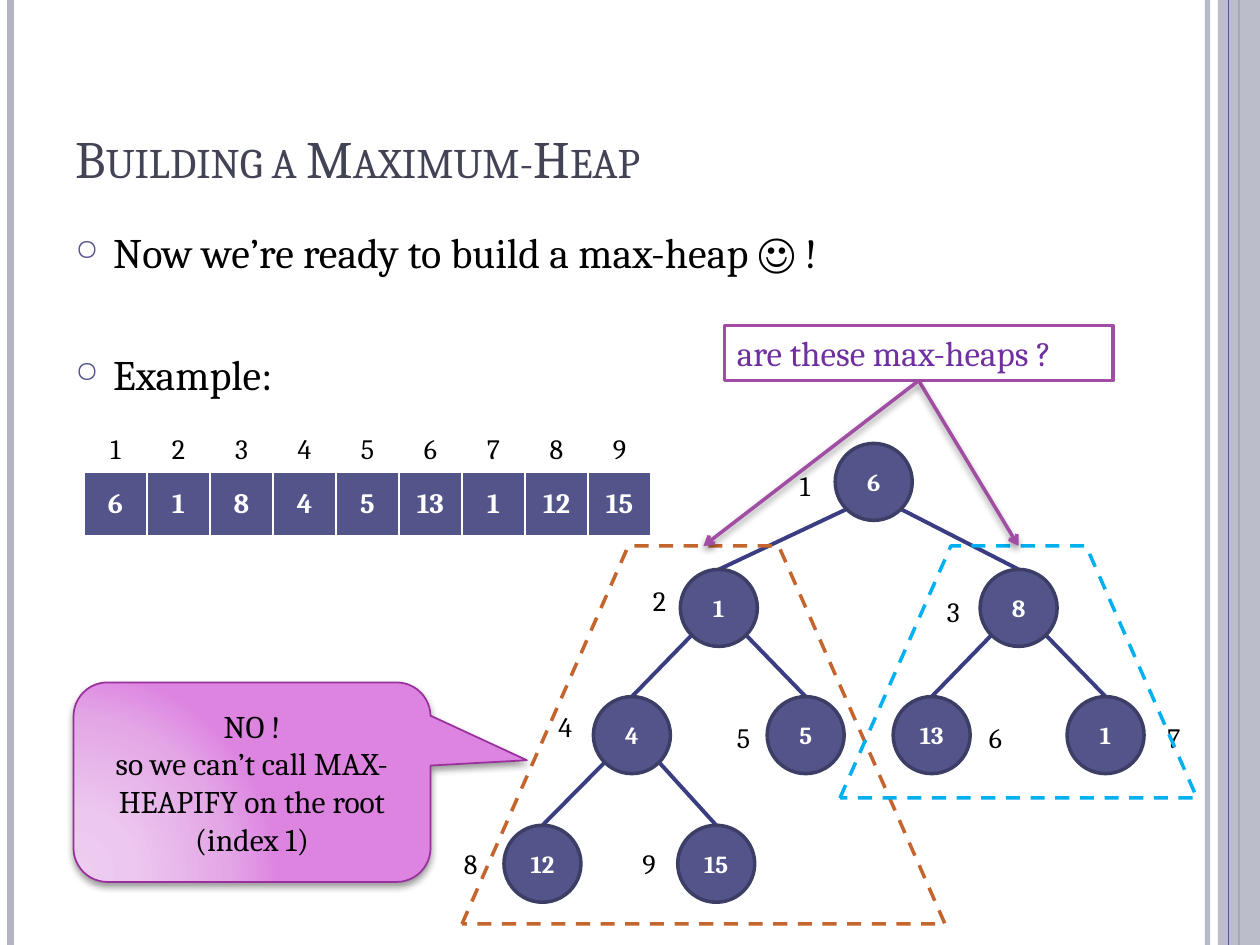
import dataclasses
import math

import pptx
import pptx.dml.color
import pptx.enum.dml
import pptx.enum.shapes
import pptx.enum.text
import pptx.oxml
import pptx.oxml.ns
import pptx.util

Pt = pptx.util.Pt
SHAPES = pptx.enum.shapes.MSO_SHAPE
ALIGN = pptx.enum.text.PP_ALIGN
ANCHOR = pptx.enum.text.MSO_ANCHOR
DASH = pptx.enum.dml.MSO_LINE.DASH
NAMESPACE = pptx.oxml.ns.nsdecls("a")


@dataclasses.dataclass(frozen=True)
class Theme:
    font: str = "Cambria"
    black: str = "000000"
    white: str = "FFFFFF"
    title: str = "424456"
    stripe: str = "B3B4C4"
    indigo: str = "53548A"
    node_outline: str = "3D3E66"
    edge: str = "3B3D82"
    left_heap: str = "C4652D"
    right_heap: str = "00B0F0"
    question: str = "7030A0"
    purple: str = "A04DA3"
    callout_outline: str = "9A309E"
    gradient: tuple = ((0, "EDCCEF"), (30, "ECC7EE"), (75, "E3A7E6"), (100, "DD84E1"))
    title_size: int = 30
    body_size: int = 24
    question_size: int = 20
    callout_size: int = 18
    label_size: int = 16
    node_size: int = 14


def rgb(value):
    return pptx.dml.color.RGBColor.from_string(value)


def apply(target, values):
    for name, value in values.items():
        setattr(target, name, value)


def child(parent, tag):
    return parent.find(pptx.oxml.ns.qn(tag))


def add_xml(parent, tag, content):
    element = pptx.oxml.parse_xml(f"<{tag} {NAMESPACE} {content}</{tag}>")
    parent.append(element)
    return element


class SlideBuilder:
    def __init__(self, slide, theme):
        self.slide = slide
        self.theme = theme

    def fill_text(self, frame, lines, size, color, align=ALIGN.LEFT, bold=False, **frame_format):
        apply(frame, {"word_wrap": True, "vertical_anchor": ANCHOR.TOP, **frame_format})
        for index, line in enumerate(lines):
            paragraph = frame.paragraphs[0] if index == 0 else frame.add_paragraph()
            paragraph.alignment = align
            run = paragraph.add_run()
            run.text = line
            apply(run.font, {"name": self.theme.font, "size": Pt(size), "bold": bold})
            run.font.color.rgb = rgb(color)
        return frame.paragraphs

    def text(self, box, lines, size, color, **text_format):
        shape = self.slide.shapes.add_textbox(*map(Pt, box))
        return self.fill_text(shape.text_frame, lines, size, color, **text_format)

    def title(self, box, wording):
        paragraph, = self.text(box, [wording], self.theme.title_size, self.theme.title,
                               vertical_anchor=ANCHOR.BOTTOM)
        paragraph.runs[0].font._element.set("cap", "small")

    def bullets(self, box, lines, spacing):
        paragraphs = self.text(box, lines, self.theme.body_size, self.theme.black)
        for paragraph, space in zip(paragraphs, spacing):
            paragraph.space_before = Pt(space)
            properties = paragraph._element.get_or_add_pPr()
            properties.set("marL", str(Pt(21.6)))
            properties.set("indent", str(Pt(-21.6)))
            add_xml(properties, "a:buClr", f'><a:srgbClr val="{self.theme.indigo}"/>')
            add_xml(properties, "a:buSzPct", 'val="70000">')
            add_xml(properties, "a:buChar", 'char="○">')

    def shape(self, kind, box, fill=None, line=None, width=2, dash=None, adjustments=()):
        shape = self.slide.shapes.add_shape(kind, *map(Pt, box))
        shape.shadow.inherit = False
        for index, value in enumerate(adjustments):
            shape.adjustments[index] = value
        if fill:
            shape.fill.solid()
            shape.fill.fore_color.rgb = rgb(fill)
        else:
            shape.fill.background()
        if line:
            shape.line.color.rgb = rgb(line)
            apply(shape.line, {"width": Pt(width), "dash_style": dash})
        else:
            shape.line.fill.background()
        return shape

    def line(self, start, end, color, width):
        kind = pptx.enum.shapes.MSO_CONNECTOR.STRAIGHT
        connector = self.slide.shapes.add_connector(kind, *map(Pt, (*start, *end)))
        connector.line.color.rgb = rgb(color)
        connector.line.width = Pt(width)
        add_xml(connector._element.spPr, "a:effectLst", ">")
        return connector

    def arrow(self, source, target, color):
        connector = self.line((0, 0), (1, 1), color, 2)
        connector.begin_connect(source, 2)
        connector.end_connect(target, 0)
        add_xml(child(connector._element.spPr, "a:ln"), "a:tailEnd", 'type="arrow">')
        self.shadow(connector)

    def shadow(self, shape):
        effects = child(shape._element.spPr, "a:effectLst")
        add_xml(effects, "a:outerShdw",
                f'blurRad="{Pt(4)}" dist="{Pt(2)}" dir="5400000" rotWithShape="0">'
                f'<a:srgbClr val="{self.theme.black}"><a:alpha val="40000"/></a:srgbClr>')

    def opacity(self, parent, percent):
        color = child(child(parent, "a:solidFill"), "a:srgbClr")
        add_xml(color, "a:alpha", f'val="{percent * 1000}">')

    def callout(self, box, lines, adjustments):
        theme = self.theme
        shape = self.shape(SHAPES.ROUNDED_RECTANGULAR_CALLOUT, box, theme.white,
                           theme.callout_outline, 1, adjustments=adjustments)
        stops = "".join(f'<a:gs pos="{position * 1000}"><a:srgbClr val="{color}"/></a:gs>'
                        for position, color in theme.gradient)
        properties = shape._element.spPr
        gradient = add_xml(properties, "a:gradFill",
                           f'rotWithShape="1"><a:gsLst>{stops}</a:gsLst><a:path path="circle">'
                           '<a:fillToRect l="5000" t="100000" r="120000" b="10000"/></a:path>')
        properties.replace(child(properties, "a:solidFill"), gradient)
        self.shadow(shape)
        self.fill_text(shape.text_frame, lines, theme.callout_size, theme.black,
                       align=ALIGN.CENTER, vertical_anchor=ANCHOR.MIDDLE)

    def array(self, left, top, size, values):
        theme = self.theme
        rows = [range(1, len(values) + 1), values]
        table = self.slide.shapes.add_table(
            2, len(values), Pt(left), Pt(top), Pt(size * len(values)), Pt(size * 2)).table
        apply(table, {"first_row": False, "horz_banding": False})
        for item in table.columns:
            item.width = Pt(size)
        for row, numbers in enumerate(rows):
            table.rows[row].height = Pt(size)
            for column, number in enumerate(numbers):
                cell = table.cell(row, column)
                self.fill_text(cell.text_frame, [str(number)], theme.label_size,
                               theme.white if row else theme.black, ALIGN.CENTER, bool(row))
                cell.vertical_anchor = ANCHOR.MIDDLE if row else ANCHOR.BOTTOM
                properties = cell._tc.get_or_add_tcPr()
                for side in "LRTB":
                    add_xml(properties, f"a:ln{side}",
                            f'w="{Pt(1)}"><a:solidFill><a:srgbClr val="{theme.white}"/></a:solidFill>')
                if row:
                    cell.fill.solid()
                    cell.fill.fore_color.rgb = rgb(theme.indigo)
                else:
                    cell.fill.background()

    def tree(self, values, centers, labels, radius):
        theme = self.theme
        offset = radius * math.sqrt(0.5)
        for index in range(1, len(values)):
            x, y = centers[(index - 1) // 2]
            child_x, child_y = centers[index]
            side = -offset if index % 2 else offset
            self.line((x + side, y + offset), (child_x, child_y - radius), theme.edge, 2.25)
        for value, (x, y) in zip(values, centers):
            node = self.shape(SHAPES.OVAL, (x - radius, y - radius, 2 * radius, 2 * radius),
                              theme.indigo, theme.node_outline)
            self.fill_text(node.text_frame, [str(value)], theme.node_size, theme.white,
                           ALIGN.CENTER, True, vertical_anchor=ANCHOR.MIDDLE, word_wrap=False)
        for index, (left, top) in enumerate(labels, 1):
            self.text((left, top, 24, 26.6), [str(index)], theme.label_size, theme.black,
                      word_wrap=False)


def main():
    presentation = pptx.Presentation()
    apply(presentation, {"slide_width": Pt(720), "slide_height": Pt(540)})
    theme = Theme()
    builder = SlideBuilder(presentation.slides.add_slide(presentation.slide_layouts[6]), theme)

    for x, color, width in ((690, theme.stripe, 3), (6, theme.stripe, 4.5), (708, theme.indigo, 1.5)):
        stripe = builder.line((x, 0), (x, 540), color, width)
        if x == 690:
            builder.opacity(child(stripe._element.spPr, "a:ln"), 93)
    band = builder.shape(SHAPES.RECTANGLE, (696, 0, 24, 540), theme.stripe)
    builder.opacity(band._element.spPr, 87)
    builder.line((702, 0), (702, 540), theme.indigo, 0.75)

    builder.bullets((36, 126, 588, 384), ["Now we’re ready to build a max-heap ☺ !", "Example:"], (6, 41))
    builder.title((36, 21.6, 588, 90), "Building a Maximum-Heap")

    values = (6, 1, 8, 4, 5, 13, 1, 12, 15)
    centers = ((499.3, 275.4), (410.8, 347.4), (582.1, 347.4), (361.1, 420.1), (460.4, 420.1),
               (532.4, 420.1), (631.8, 420.1), (310, 493.6), (409.3, 493.6))
    labels = ((450, 264), (366, 330), (534, 336), (312, 402), (414, 408),
              (558, 408), (660, 408), (258, 480), (360, 480))
    builder.array(48, 234, 36, values)
    builder.tree(values, centers, labels, 22)

    heaps = [builder.shape(SHAPES.TRAPEZOID, box, line=color, dash=DASH, adjustments=(0.44,))
             for box, color in (((264, 312, 276, 216), theme.left_heap),
                                ((480, 312, 204, 144), theme.right_heap))]
    question = builder.shape(SHAPES.RECTANGLE, (414, 186, 222, 31.5), theme.white, theme.purple)
    builder.fill_text(question.text_frame, ["are these max-heaps ?"], theme.question_size, theme.question)
    for heap in reversed(heaps):
        builder.arrow(question, heap, theme.purple)
    builder.callout((42, 390, 204, 114),
                    ["NO !", "so we can’t call MAX-HEAPIFY on the root (index 1)"], (0.77, -0.11, 0.17))
    presentation.save("out.pptx")


if __name__ == "__main__":
    main()
